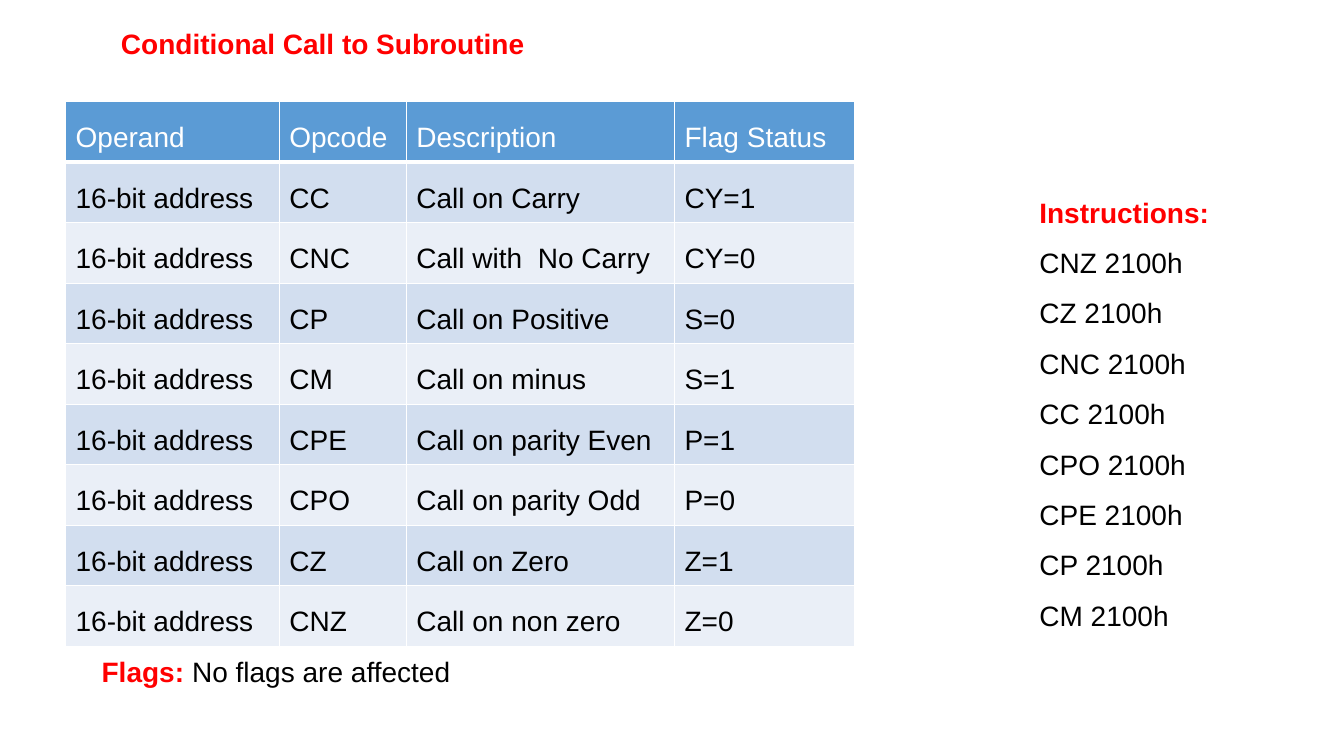
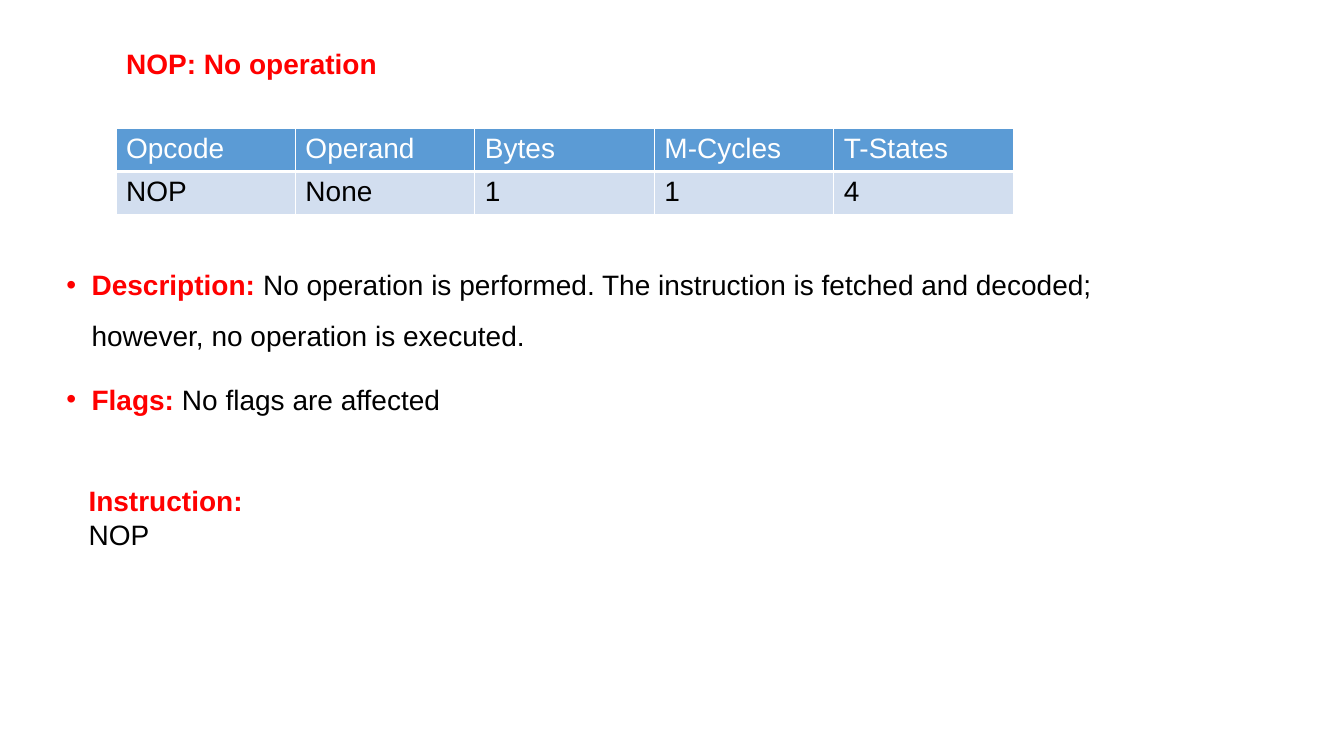
from lxml import etree
from pptx import Presentation
from pptx import util as u
from pptx.dml.color import RGBColor
from pptx.enum import text
from pptx.oxml.ns import qn

COLORS = {
    "label": "FF0000",
    "body": "000000",
    "header_text": "FFFFFF",
    "header": "5B9BD5",
    "odd_row": "D2DEEF",
    "even_row": "EAEFF7",
    "border": "FFFFFF",
}
FONT = "Arial"
FONT_SIZE = 20
HANGING_INDENT = 25
NO_FLAGS = ("Flags: ", "No flags are affected")


def px(length):
    """Convert px, at 100 to the inch, to EMU."""
    return u.Emu(length * 9144)


def add_bullet(paragraph):
    properties = paragraph._p.get_or_add_pPr()
    properties.set("marL", str(px(HANGING_INDENT)))
    properties.set("indent", str(-px(HANGING_INDENT)))
    etree.SubElement(properties, qn("a:buFont")).set("typeface", FONT)
    etree.SubElement(properties, qn("a:buChar")).set("char", "•")


def write_text(frame, lines, color="body", spacing=1, space_before=0, bullet=False):
    """Write one paragraph per (label, body) pair; labels are bold and red."""
    for index, (label, body) in enumerate(lines):
        paragraph = frame.paragraphs[0] if index == 0 else frame.add_paragraph()
        if bullet:
            add_bullet(paragraph)
        paragraph.alignment = text.PP_ALIGN.LEFT
        paragraph.line_spacing = spacing
        paragraph.space_before = u.Pt(space_before if index else 0)
        for words, run_color, bold in ((label, "label", True), (body, color, False)):
            if words:
                run = paragraph.add_run()
                run.text = words
                run.font.name = FONT
                run.font.size = u.Pt(FONT_SIZE)
                run.font.bold = bold
                run.font.color.rgb = RGBColor.from_string(COLORS[run_color])


def add_borders(cell, bottom):
    properties = cell._tc.get_or_add_tcPr()
    for side, width in (("L", 1), ("R", 1), ("T", 1), ("B", bottom)):
        line = etree.SubElement(properties, qn(f"a:ln{side}"), w=str(u.Pt(width)))
        fill = etree.SubElement(line, qn("a:solidFill"))
        etree.SubElement(fill, qn("a:srgbClr"), val=COLORS["border"])


class Deck:
    def __init__(self):
        self.presentation = Presentation()
        self.presentation.slide_width = px(1333)
        self.presentation.slide_height = px(750)
        self.slide = None

    def add_slide(self, title, left, top):
        layout = self.presentation.slide_layouts[5]
        self.slide = self.presentation.slides.add_slide(layout)
        shape = self.slide.shapes.title
        shape.left, shape.top, shape.width, shape.height = map(px, (left, top, 872, 44))
        frame = shape.text_frame
        frame.auto_size = text.MSO_AUTO_SIZE.NONE
        frame.vertical_anchor = text.MSO_ANCHOR.TOP
        write_text(frame, [(title, "")])

    def add_text(self, left, top, width, height, lines, **style):
        box = self.slide.shapes.add_textbox(*map(px, (left, top, width, height)))
        box.text_frame.word_wrap = True
        write_text(box.text_frame, lines, **style)

    def add_table(self, left, top, column_widths, row_height, rows, spacing=1):
        size = sum(column_widths), row_height * len(rows)
        table = self.slide.shapes.add_table(
            len(rows), len(column_widths), *map(px, (left, top, *size))).table
        for column, width in zip(table.columns, column_widths):
            column.width = px(width)
        for row_index, row in enumerate(rows):
            is_header = row_index == 0
            banding = "odd_row" if row_index % 2 else "even_row"
            fill = "header" if is_header else banding
            for column_index, words in enumerate(row):
                cell = table.cell(row_index, column_index)
                add_borders(cell, bottom=3 if is_header else 1)
                cell.fill.solid()
                cell.fill.fore_color.rgb = RGBColor.from_string(COLORS[fill])
                write_text(cell.text_frame, [("", words)], spacing=spacing,
                           color="header_text" if is_header else "body")


def build_conditional_call(deck):
    deck.add_slide("Conditional Call to Subroutine", 110, 21)
    calls = [
        ("CC", "Call on Carry", "CY=1"),
        ("CNC", "Call with  No Carry", "CY=0"),
        ("CP", "Call on Positive", "S=0"),
        ("CM", "Call on minus", "S=1"),
        ("CPE", "Call on parity Even", "P=1"),
        ("CPO", "Call on parity Odd", "P=0"),
        ("CZ", "Call on Zero", "Z=1"),
        ("CNZ", "Call on non zero", "Z=0"),
    ]
    rows = [("Operand", "Opcode", "Description", "Flag Status")]
    rows += [("16-bit address", *call) for call in calls]
    deck.add_table(65, 101, (212, 126, 266, 179), 60, rows, spacing=1.5)
    opcodes = ("CNZ", "CZ", "CNC", "CC", "CPO", "CPE", "CP", "CM")
    instructions = [("", f"{opcode} 2100h") for opcode in opcodes]
    deck.add_text(1021, 172, 200, 464, [("Instructions:", ""), *instructions], spacing=1.5)
    deck.add_text(91, 644, 380, 44, [NO_FLAGS])


def build_no_operation(deck):
    deck.add_slide("NOP: No operation", 115, 41)
    rows = [
        ("Opcode", "Operand", "Bytes", "M-Cycles", "T-States"),
        ("NOP", "None", "1", "1", "4"),
    ]
    deck.add_table(115, 127, (178,) * 5, 43, rows)
    description = ("Description: ", "No operation is performed. The instruction is fetched "
                   "and decoded; however, no operation is executed.")
    deck.add_text(56, 244, 1150, 176, [description, NO_FLAGS],
                  spacing=1.5, space_before=10, bullet=True)
    deck.add_text(78, 475, 204, 77, [("Instruction:", ""), ("", "NOP")])


def main():
    deck = Deck()
    build_conditional_call(deck)
    build_no_operation(deck)
    deck.presentation.save("out.pptx")


if __name__ == "__main__":
    main()
